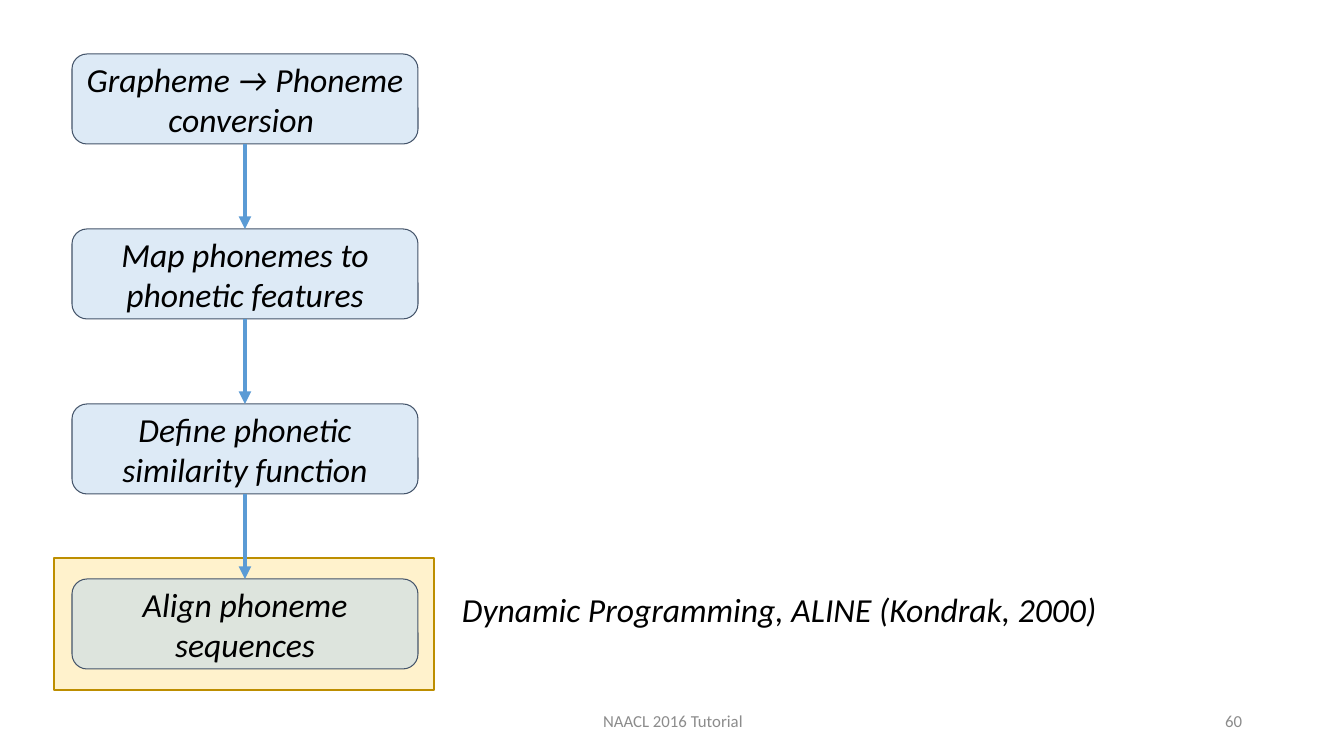
from lxml.etree import SubElement
from pptx import Presentation
from pptx.dml.color import RGBColor
from pptx.enum.shapes import MSO_CONNECTOR, MSO_SHAPE
from pptx.enum.text import MSO_ANCHOR, MSO_AUTO_SIZE, PP_ALIGN
from pptx.oxml.ns import qn
from pptx.util import Emu, Pt

SLIDE_WIDTH, SLIDE_HEIGHT = 1344, 756
EMU_PER_PX = 12192000 / SLIDE_WIDTH

BLACK = RGBColor(0x00, 0x00, 0x00)
GREY = RGBColor(0x8C, 0x8C, 0x8C)
STEP_FILL = RGBColor(0xBD, 0xD7, 0xEE)
STEP_LINE = RGBColor(0x44, 0x54, 0x6A)
ARROW = RGBColor(0x5B, 0x9B, 0xD5)
HIGHLIGHT_FILL = RGBColor(0xFF, 0xF2, 0xCC)
HIGHLIGHT_LINE = RGBColor(0xBD, 0x8E, 0x00)

STEPS = [
    "Grapheme → Phoneme conversion ",
    "Map phonemes to phonetic features",
    "Define phonetic similarity function",
    "Align phoneme sequences",
]
STEP_HEIGHT = 90
STEP_PITCH = 175


def px(length):
    return Emu(round(length * EMU_PER_PX))


def write(shape, text, size, color, align, italic=False):
    frame = shape.text_frame
    frame.word_wrap = True
    paragraph = frame.paragraphs[0]
    paragraph.text = text
    paragraph.alignment = align
    font = paragraph.font
    font.name, font.size, font.italic = "Calibri", Pt(size), italic
    font.color.rgb = color
    return frame


def add_box(slide, preset, box, fill, line, line_width):
    shape = slide.shapes.add_shape(preset, *map(px, box))
    shape.shadow.inherit = False
    shape.fill.solid()
    shape.fill.fore_color.rgb = fill
    shape.line.color.rgb = line
    shape.line.width = Pt(line_width)
    return shape


def add_step(slide, box, text):
    shape = add_box(slide, MSO_SHAPE.ROUNDED_RECTANGLE, box,
                    STEP_FILL, STEP_LINE, 0.75)
    color = shape.fill._xPr.find(qn("a:solidFill"))[0]
    SubElement(color, qn("a:alpha"), val="50000")
    frame = write(shape, text, 24, BLACK, PP_ALIGN.CENTER, italic=True)
    frame.vertical_anchor = MSO_ANCHOR.MIDDLE
    frame.margin_left = frame.margin_right = px(10)
    frame.margin_top = frame.margin_bottom = px(10)


def add_down_arrow(slide, x, top, bottom):
    connector = slide.shapes.add_connector(
        MSO_CONNECTOR.STRAIGHT, px(x), px(top), px(x), px(bottom))
    connector.line.color.rgb = ARROW
    connector.line.width = Pt(3)
    SubElement(connector.line._get_or_add_ln(), qn("a:tailEnd"), type="triangle")
    SubElement(connector._element.spPr, qn("a:effectLst"))


def add_flow(slide, left, top, width):
    """Stack the steps downwards, then join each to the next."""
    tops = [top + index * STEP_PITCH for index in range(len(STEPS))]
    for step_top, text in zip(tops, STEPS):
        add_step(slide, (left, step_top, width, STEP_HEIGHT), text)
    for step_top, next_top in zip(tops, tops[1:]):
        add_down_arrow(slide, left + width / 2, step_top + STEP_HEIGHT, next_top)


def add_method_note(slide, box):
    shape = slide.shapes.add_textbox(*map(px, box))
    frame = write(shape, "Dynamic Programming, ALINE (Kondrak, 2000)",
                  24, BLACK, PP_ALIGN.LEFT, italic=True)
    frame.auto_size = MSO_AUTO_SIZE.SHAPE_TO_FIT_TEXT
    frame.paragraphs[0].line_spacing = 1.5


def add_footer(slide, top, height):
    for left, width, text, align in [
        (446, 454, "NAACL 2016 Tutorial", PP_ALIGN.CENTER),
        (950, 302, "60", PP_ALIGN.RIGHT),
    ]:
        shape = slide.shapes.add_textbox(*map(px, (left, top, width, height)))
        frame = write(shape, text, 12, GREY, align)
        frame.vertical_anchor = MSO_ANCHOR.MIDDLE


def main():
    presentation = Presentation()
    presentation.slide_width = px(SLIDE_WIDTH)
    presentation.slide_height = px(SLIDE_HEIGHT)
    slide = presentation.slides.add_slide(presentation.slide_layouts[6])
    add_box(slide, MSO_SHAPE.RECTANGLE, (54, 558, 380, 132),
            HIGHLIGHT_FILL, HIGHLIGHT_LINE, 1)
    add_flow(slide, left=72, top=54, width=346)
    add_method_note(slide, (452, 564, 883, 65))
    add_footer(slide, top=701, height=40)
    presentation.save("out.pptx")


if __name__ == "__main__":
    main()
